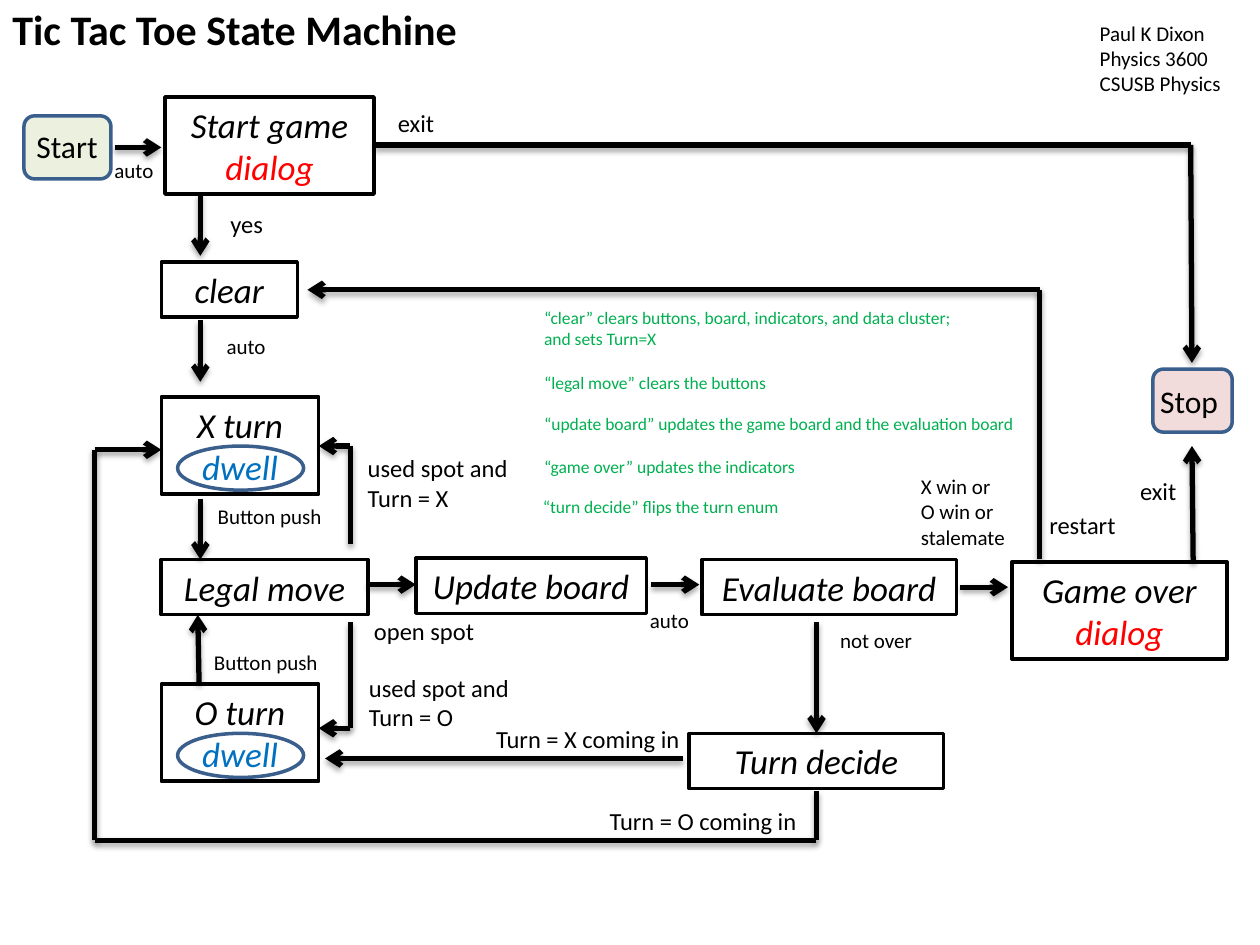
from dataclasses import dataclass
from typing import Any

from lxml import etree
from pptx import Presentation
from pptx import util as u
from pptx.dml.color import RGBColor
from pptx.enum import shapes, text
from pptx.oxml import ns

COLORS = {"ink": "000000", "red": "FF0000", "blue": "0070C0", "green": "00B050",
          "edge": "3A5F8C", "start": "EBF1DE", "stop": "F2DCDB"}
FONT = "Calibri"
COLS, ROWS = 100, 75  # grid of the slide
LINE_H, PAD = 3.33, 1.05  # height of a state's text line, and its padding
KIND = shapes.MSO_SHAPE


@dataclass
class State:
    """A box of the diagram; a second line is coloured."""
    col: float
    row: float
    width: float
    name: str
    mode: str = ""


@dataclass
class Terminal:
    """A rounded start or stop mark with its caption's column and row."""
    col: float
    row: float
    width: float
    name: str
    fill: str
    text_col: float
    text_row: float
    text_width: float


@dataclass
class Label:
    """Free text on the grid."""
    col: float
    row: float
    width: float
    height: float
    words: str
    size: int = 14
    color: str = "ink"
    bold: bool = False
    wrap: bool = False


STATES = [
    State(13.1, 7.7, 16.6, "Start game", "dialog"),
    State(12.8, 20.8, 10.8, "clear"),
    State(12.8, 31.5, 12.5, "X turn", "dwell"),
    State(12.8, 44.4, 16.4, "Legal move"),
    State(12.8, 54.3, 12.5, "O turn", "dwell"),
    State(33, 44.3, 18.3, "Update board"),
    State(55.7, 44.4, 20.2, "Evaluate board"),
    State(80.3, 44.6, 17.1, "Game over", "dialog"),
    State(54.7, 58.2, 20.2, "Turn decide"),
]
MODE_COLORS = {"dialog": "red", "dwell": "blue"}

TERMINALS = [
    Terminal(1.9, 9.2, 6.9, "Start", "start", 1.9, 9.6, 6.9),
    Terminal(91.5, 29.3, 6.3, "Stop", "stop", 91.1, 29.8, 6.7),
]

# Each route is a run of (column, row) corners that ends in an arrowhead.
ROUTES = [
    [(9.1, 11.7), (12.8, 11.7)],
    [(15.9, 15.4), (15.9, 20.3)],
    [(15.9, 25.4), (15.9, 30.3)],
    [(15.9, 39.6), (15.9, 44.4)],
    [(15.8, 54.2), (15.7, 48.8)],
    [(29.2, 46.4), (33, 46.4)],
    [(51.7, 46.4), (55.5, 46.4)],
    [(76.2, 46.6), (80, 46.6)],
    [(64.8, 49.4), (64.8, 58.2)],
    [(54.2, 60.2), (25.8, 60.2)],
    [(94.7, 44.6), (94.6, 35.4)],
    [(29.7, 11.5), (94.5, 11.5), (94.6, 28.8)],
    [(82.5, 44.4), (82.5, 23), (24.4, 23)],
    [(27.8, 43.2), (27.8, 35.4), (25.3, 35.4)],
    [(27.8, 49.4), (27.8, 57.8), (25.3, 57.8)],
    [(64.8, 62.8), (64.8, 66.7), (7.5, 66.7), (7.5, 35.7), (12.8, 35.7)],
]

LABELS = [
    Label(0, -0.2, 37.5, 5, "Tic Tac Toe State Machine", 24, bold=True, wrap=True),
    Label(86.3, 1.1, 11.7, 7.1, "Paul K Dixon\nPhysics 3600\nCSUSB Physics", 12, wrap=True),
    Label(8.1, 12, 5.2, 3, "auto", 12),
    Label(17, 26, 5.2, 3, "auto", 12),
    Label(50.6, 47.7, 5.2, 3, "auto", 12),
    Label(16.3, 39.5, 10.6, 3, "Button push", 12),
    Label(16, 51.1, 10.6, 3, "Button push", 12),
    Label(72.1, 37.1, 8.8, 7.1, "X win or\nO win or\nstalemate", 12),
    Label(65.7, 49.3, 8, 3, "not over", 12),
    Label(30.6, 8.1, 5, 3.4, "exit"),
    Label(89.5, 37.3, 5, 3.4, "exit"),
    Label(17.3, 16.1, 4.6, 3.4, "yes"),
    Label(82.3, 40, 7.3, 3.4, "restart"),
    Label(28.2, 35.5, 13.5, 5.7, "used spot and\nTurn = X"),
    Label(28.3, 52.9, 13.2, 5.7, "used spot and\nTurn = O"),
    Label(28.7, 48.4, 10, 3.4, "open spot"),
    Label(38.4, 57, 16.7, 3.4, "Turn = X coming in"),
    Label(47.4, 63.5, 17, 3.4, "Turn = O coming in"),
]
NOTES = [
    (42.2, 23.9, 35.8, 4.4, "“clear” clears buttons, board, indicators, and data cluster;\n"
                            "and sets Turn=X"),
    (42.2, 29, 21.6, 2.7, "“legal move” clears the buttons"),
    (42.2, 32.3, 40.3, 2.7, "“update board” updates the game board and the evaluation board"),
    (42.2, 35.7, 23.1, 2.7, "“game over” updates the indicators"),
    (42.1, 38.9, 21.6, 2.7, "“turn decide” flips the turn enum"),
]
LABELS += [Label(*note, size=10, color="green", wrap=True) for note in NOTES]

prs = Presentation()
prs.slide_width, prs.slide_height = u.Inches(10), u.Inches(7.5)
slide = prs.slides.add_slide(prs.slide_layouts[6])


def x(col: float) -> int:
    """Turn columns into a length."""
    return int(prs.slide_width * col / COLS)


def y(row: float) -> int:
    """Turn rows into a length."""
    return int(prs.slide_height * row / ROWS)


def rgb(name: str) -> RGBColor:
    """Look up a colour."""
    return RGBColor.from_string(COLORS[name])


def style(p: Any, size: int, color: str, bold: bool = False, italic: bool = False) -> None:
    """Format every run of a paragraph."""
    for r in p.runs:
        f = r.font
        f.name, f.size, f.bold, f.italic = FONT, u.Pt(size), bold, italic
        f.color.rgb = rgb(color)


def add_outline(parent: Any, kind: Any, col: float, row: float, width: float,
                height: float, edge: str, fill: str = "") -> Any:
    """Add a preset shape with a 2 pt outline."""
    sp = parent.add_shape(kind, x(col), y(row), x(width), y(height))
    sp.shadow.inherit = False
    sp.line.color.rgb, sp.line.width = rgb(edge), u.Pt(2)
    if fill:
        sp.fill.solid()
        sp.fill.fore_color.rgb = rgb(fill)
    else:
        sp.fill.background()
    return sp


def add_label(parent: Any, label: Label) -> None:
    """Add a text box."""
    tf = parent.add_textbox(x(label.col), y(label.row), x(label.width), y(label.height)).text_frame
    tf.word_wrap = label.wrap
    tf.auto_size = text.MSO_AUTO_SIZE.SHAPE_TO_FIT_TEXT
    tf.text = label.words
    for p in tf.paragraphs:
        style(p, label.size, label.color, label.bold)


def add_state(state: State) -> None:
    """Add a state box, with a ring around the word of a dwell state."""
    dwell = state.mode == "dwell"
    parent = slide.shapes.add_group_shape().shapes if dwell else slide.shapes
    lines = [state.name] + ([state.mode] if state.mode else [])
    sp = add_outline(parent, KIND.RECTANGLE, state.col, state.row, state.width,
                     PAD + LINE_H * len(lines), "ink")
    tf = sp.text_frame
    tf.word_wrap, tf.vertical_anchor = True, text.MSO_ANCHOR.MIDDLE
    tf.text = "\n".join(lines)
    for p, color in zip(tf.paragraphs, ["ink", MODE_COLORS.get(state.mode, "ink")]):
        p.alignment = text.PP_ALIGN.CENTER
        style(p, 20, color, italic=True)
    if dwell:
        add_outline(parent, KIND.OVAL, state.col + 1.3, state.row + 3.9, 10, 3.5, "edge")


def add_terminal(end: Terminal) -> None:
    """Add a start or stop mark as a group."""
    parent = slide.shapes.add_group_shape().shapes
    add_outline(parent, KIND.ROUNDED_RECTANGLE, end.col, end.row, end.width, 5, "edge", end.fill)
    add_label(parent, Label(end.text_col, end.text_row, end.text_width, 4, end.name, 18))


def add_route(corners: list[tuple[float, float]]) -> None:
    """Join the corners with shadowed lines; the last one gets an arrowhead."""
    for (c1, r1), (c2, r2) in zip(corners, corners[1:]):
        line = slide.shapes.add_connector(shapes.MSO_CONNECTOR.STRAIGHT, x(c1), y(r1), x(c2), y(r2))
        line.line.color.rgb, line.line.width = rgb("ink"), u.Pt(3)
        if (c2, r2) == corners[-1]:
            etree.SubElement(line.line._get_or_add_ln(), ns.qn("a:tailEnd"), type="arrow")
        effects = etree.SubElement(line._element.spPr, ns.qn("a:effectLst"))
        shadow = etree.SubElement(effects, ns.qn("a:outerShdw"), blurRad=str(u.Pt(3.1)),
                                  dist=str(u.Pt(1.8)), dir="5400000", rotWithShape="0")
        tint = etree.SubElement(shadow, ns.qn("a:srgbClr"), val=COLORS["ink"])
        etree.SubElement(tint, ns.qn("a:alpha"), val="35000")


for state in STATES:
    add_state(state)
for end in TERMINALS:
    add_terminal(end)
for corners in ROUTES:
    add_route(corners)
for label in LABELS:
    add_label(slide.shapes, label)
prs.save("out.pptx")
